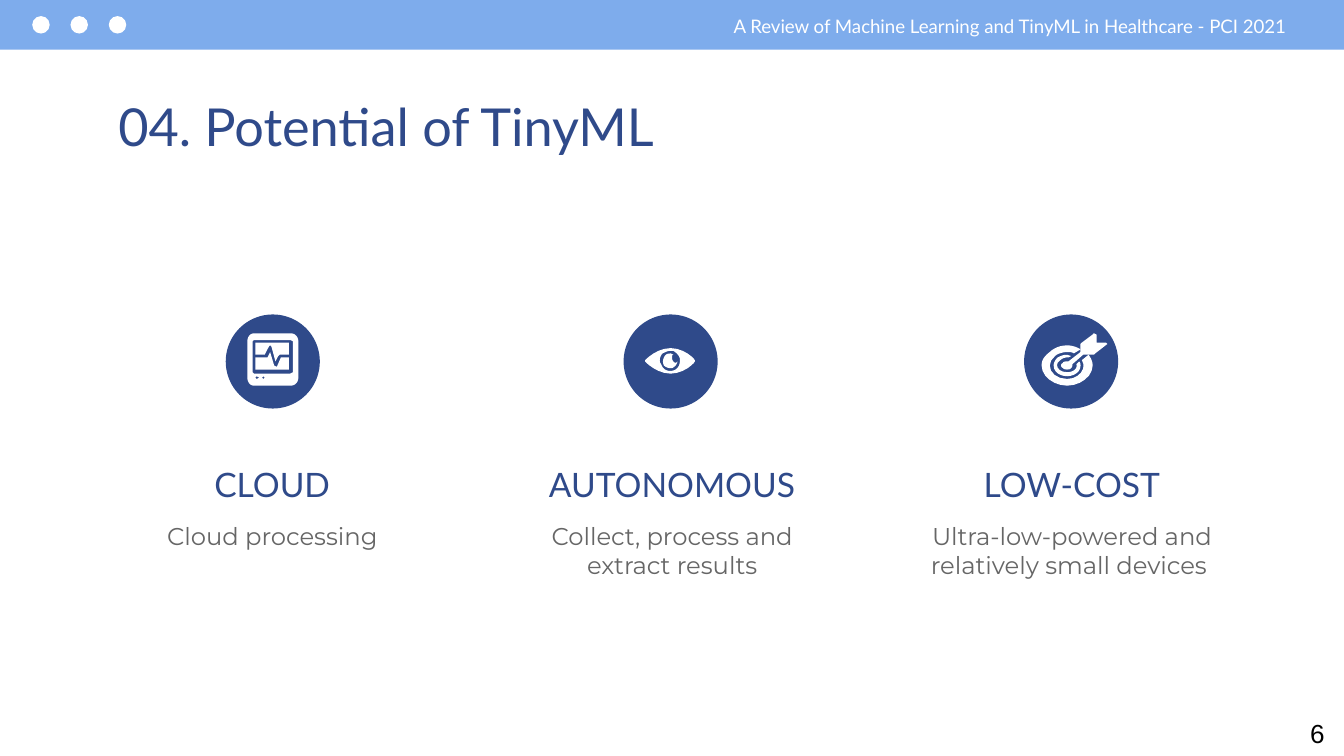
from pptx import Presentation
from pptx.dml.color import RGBColor
from pptx.enum.shapes import MSO_SHAPE
from pptx.enum.text import MSO_ANCHOR, MSO_AUTO_SIZE, PP_ALIGN
from pptx.util import Inches, Pt

OVAL, BAR = MSO_SHAPE.OVAL, MSO_SHAPE.RECTANGLE
TOP, NO_FIT = MSO_ANCHOR.TOP, MSO_AUTO_SIZE.NONE
LEFT, CENTER = PP_ALIGN.LEFT, PP_ALIGN.CENTER

THEME = {
    "band": RGBColor(0x7E, 0xAC, 0xEC),
    "white": RGBColor(0xFF, 0xFF, 0xFF),
    # name, size, color of each kind of text
    "title": ("Lato", 28, RGBColor(0x2F, 0x4A, 0x8A)),
    "heading": ("Lato", 18, RGBColor(0x2F, 0x4A, 0x8A)),
    "caption": ("Montserrat", 13, RGBColor(0x66, 0x66, 0x66)),
    "running": ("Lato", 10, RGBColor(0xFF, 0xFF, 0xFF)),
    "number": ("Arial", 14, RGBColor(0, 0, 0)),
    "disc": RGBColor(0x2F, 0x4A, 0x8A),
}
CURVE_STEPS = 6

# Each icon is a list of outlines, each outline a list of closed contours.
# A pair is a corner in inches; six numbers are a Bezier curve to the last pair.
MONITOR = [
    [[(2.01, 2.62), (1.99, 2.66), (1.9, 2.66), (1.9, 2.75), (2.15, 2.75), (2.15, 2.66),
      (2.09, 2.66), (2.06, 2.73), (2.04, 2.72)]],
    [[(1.9, 2.55), (1.9, 2.64), (1.97, 2.64), (2, 2.58), (2.01, 2.57), (2.02, 2.58),
      (2.05, 2.69), (2.07, 2.65), (2.08, 2.64), (2.15, 2.64), (2.15, 2.55)]],
    [[(2.16, 2.53), (2.18, 2.54), (2.18, 2.77), (2.16, 2.78), (1.89, 2.78),
      (1.88, 2.77), (1.88, 2.54), (1.89, 2.53)],
     [(1.91, 2.8), (1.93, 2.81), (1.91, 2.82), (1.9, 2.81)],
     [(1.96, 2.8), (1.97, 2.81), (1.96, 2.82), (1.95, 2.81)],
     [(1.89, 2.48), (1.86, 2.48, 1.84, 2.51, 1.84, 2.54), (1.84, 2.81),
      (1.84, 2.84, 1.86, 2.87, 1.89, 2.87), (2.16, 2.87),
      (2.2, 2.87, 2.22, 2.84, 2.22, 2.81), (2.22, 2.54),
      (2.22, 2.51, 2.2, 2.48, 2.16, 2.48)]],
]
EYE = [
    [[(4.99, 2.61), (5, 2.61, 5.01, 2.61, 5.01, 2.61), (5.04, 2.63, 5.06, 2.65, 5.06, 2.68),
      (5.06, 2.73, 5.03, 2.76, 4.99, 2.76), (4.95, 2.76, 4.93, 2.74, 4.92, 2.71),
      (4.9, 2.69, 4.91, 2.65, 4.93, 2.63), (4.95, 2.62, 4.97, 2.61, 4.99, 2.61)],
     [(4.99, 2.59), (4.89, 2.59, 4.81, 2.67, 4.8, 2.68), (4.8, 2.69),
      (4.81, 2.7, 4.89, 2.78, 4.99, 2.78), (5.09, 2.78, 5.17, 2.7, 5.17, 2.69),
      (5.17, 2.68), (5.17, 2.67, 5.09, 2.59, 4.99, 2.59)]],
    [[(4.99, 2.63), (4.96, 2.63, 4.95, 2.64, 4.94, 2.66), (4.93, 2.68, 4.93, 2.7, 4.94, 2.72),
      (4.95, 2.73, 4.97, 2.74, 4.99, 2.74), (5, 2.74), (5.02, 2.73, 5.04, 2.71, 5.04, 2.69),
      (5.03, 2.7), (5.01, 2.7, 5, 2.68, 5, 2.66), (5, 2.65, 5, 2.64, 5.01, 2.64)]],
]
TARGET = [
    [[(8.14, 2.48), (8.13, 2.49), (8.05, 2.55), (8.04, 2.56), (8.04, 2.62), (7.95, 2.69),
      (7.94, 2.69), (7.93, 2.69, 7.91, 2.69, 7.91, 2.7), (7.89, 2.71, 7.89, 2.73, 7.91, 2.74),
      (7.92, 2.75, 7.93, 2.75, 7.94, 2.75), (7.95, 2.75, 7.96, 2.75, 7.97, 2.74),
      (7.98, 2.73, 7.98, 2.72, 7.98, 2.71), (8.06, 2.64), (8.14, 2.64), (8.15, 2.63),
      (8.24, 2.56), (8.23, 2.55), (8.16, 2.55), (8.16, 2.49)]],
    [[(7.94, 2.64), (7.91, 2.64, 7.89, 2.65, 7.87, 2.66), (7.85, 2.68, 7.84, 2.7, 7.84, 2.72),
      (7.84, 2.77, 7.89, 2.8, 7.94, 2.8), (7.99, 2.8, 8.04, 2.77, 8.04, 2.72),
      (8.04, 2.71, 8.04, 2.7, 8.03, 2.69), (8.01, 2.71), (8.02, 2.75, 7.98, 2.77, 7.94, 2.77),
      (7.87, 2.77, 7.84, 2.71, 7.89, 2.68), (7.9, 2.67, 7.92, 2.66, 7.94, 2.66),
      (7.95, 2.66), (7.97, 2.65)]],
    [[(7.94, 2.57), (7.89, 2.57, 7.84, 2.59, 7.81, 2.62), (7.77, 2.65, 7.75, 2.68, 7.75, 2.72),
      (7.75, 2.8, 7.84, 2.87, 7.94, 2.87), (8.04, 2.87, 8.13, 2.8, 8.13, 2.72),
      (8.13, 2.69, 8.12, 2.67, 8.1, 2.64), (8.05, 2.68), (8.09, 2.74, 8.03, 2.82, 7.94, 2.82),
      (7.82, 2.82, 7.77, 2.71, 7.85, 2.65), (7.87, 2.63, 7.91, 2.62, 7.94, 2.62),
      (7.96, 2.62, 7.98, 2.62, 7.99, 2.63), (8.04, 2.6), (8.01, 2.58, 7.97, 2.57, 7.94, 2.57)]],
]

BENEFITS = [  # heading, caption, left edge of the disc, icon
    ("CLOUD", "Cloud processing", 1.68, MONITOR),
    ("AUTONOMOUS", "Collect, process and extract results", 4.64, EYE),
    ("LOW-COST", "Ultra-low-powered and relatively small devices ", 7.62, TARGET),
]

prs = Presentation()
prs.slide_width, prs.slide_height = Inches(10), Inches(10 * 9 / 16)
slide = prs.slides.add_slide(prs.slide_layouts[5])
shapes = slide.shapes


def paint(shape, color):
    shape.shadow.inherit = False
    shape.fill.solid()
    shape.fill.fore_color.rgb = color
    shape.line.fill.background()


def write(box, text, kind, place, inset=0.1, align=LEFT, wrap=True, after=0):
    """Place a text-bearing shape and set its words in one of the theme's kinds."""
    for side, length in zip(("left", "top", "width", "height"), place):
        setattr(box, side, Inches(length))
    frame = box.text_frame
    frame_format = {"auto_size": NO_FIT, "word_wrap": wrap, "vertical_anchor": TOP,
                    "margin_left": Inches(0.1), "margin_right": Inches(0.1),
                    "margin_top": Inches(inset), "margin_bottom": Inches(inset)}
    for name, value in frame_format.items():
        setattr(frame, name, value)
    frame.text = text
    paragraph = frame.paragraphs[0]
    paragraph.alignment, paragraph.space_after = align, Pt(after)
    font = paragraph.runs[0].font
    font.name, size, font.color.rgb = THEME[kind]
    font.size = Pt(size)


# Header band with three dots
band = shapes.add_shape(BAR, 0, 0, prs.slide_width, Inches(0.37))
paint(band, THEME["band"])
for column in range(3):
    dot = shapes.add_shape(OVAL, Inches(0.24 + 0.285 * column), Inches(0.12),
                           Inches(0.13), Inches(0.13))
    paint(dot, THEME["white"])

write(shapes.title, "04. Potential of TinyML", "title", (0.78, 0.6, 8.44, 0.51))

# Three benefits, each a disc with an icon above a heading and a caption
for column, (heading, caption, disc_left, icon) in enumerate(BENEFITS):
    left = 0.78 + 2.975 * column
    for text, kind, top, height, after in ((heading, "heading", 3.35, 0.51, 0),
                                           (caption, "caption", 3.78, 0.84, 12)):
        write(shapes.add_textbox(0, 0, 0, 0), text, kind, (left, top, 2.49, height),
              align=CENTER, after=after)

    disc = shapes.add_shape(OVAL, Inches(disc_left), Inches(2.34), Inches(0.7), Inches(0.7))
    paint(disc, THEME["disc"])
    for outline in icon:
        builder = None
        for start, *steps in outline:
            points, (x0, y0) = [], start
            for step in steps:
                if len(step) == 6:
                    x1, y1, x2, y2, x3, y3 = step
                    for i in range(1, CURVE_STEPS):
                        t = i / CURVE_STEPS
                        a, b, c, d = (1 - t) ** 3, 3 * t * (1 - t) ** 2, 3 * t * t * (1 - t), t ** 3
                        points.append((a * x0 + b * x1 + c * x2 + d * x3,
                                       a * y0 + b * y1 + c * y2 + d * y3))
                x0, y0 = step[-2:]
                points.append((x0, y0))
            origin = [Inches(value) for value in start]
            if builder is None:
                builder = shapes.build_freeform(*origin)
            else:
                builder.move_to(*origin)
            builder.add_line_segments([(Inches(x), Inches(y)) for x, y in points], close=True)
        paint(builder.convert_to_shape(), THEME["white"])

write(shapes.add_textbox(0, 0, 0, 0), "6", "number", (9.65, 5.29, 0.35, 0.34),
      inset=0.05, wrap=False)
write(shapes.add_textbox(0, 0, 0, 0),
      "A Review of Machine Learning and TinyML in Healthcare - PCI 2021", "running",
      (5.36, 0.06, 4.46, 0.27), inset=0.05, wrap=False)

prs.save("out.pptx")
